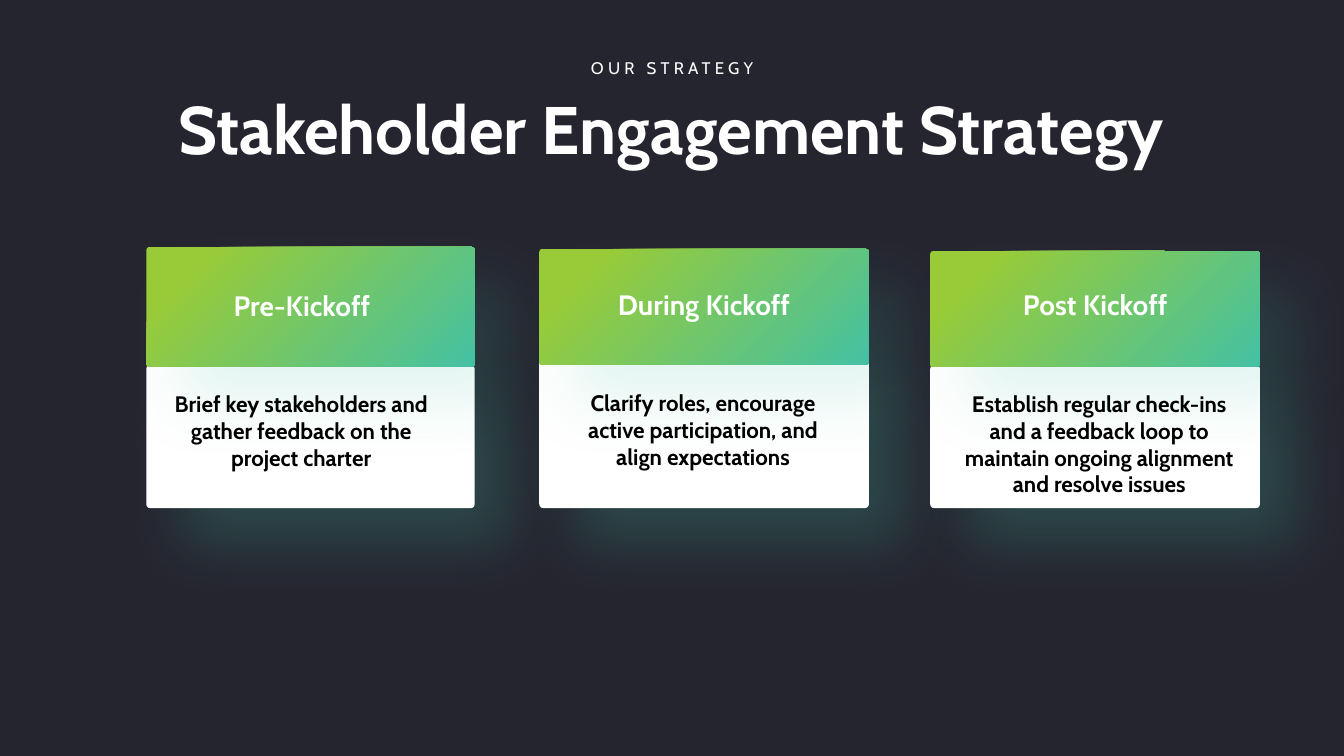
import pptx
import pptx.util
import pptx.dml.color
import pptx.enum.shapes
import pptx.enum.text
import pptx.oxml
import pptx.oxml.ns

Pt = pptx.util.Pt
COLORS = {"night": "252530", "white": "FFFFFF", "black": "000000",
          "teal": "44C1A3", "lime": "99CB38"}
TITLE = "Stakeholder Engagement Strategy"
EYEBROW = "OUR STRATEGY"
CARDS = [
    {"heading": "Pre-Kickoff",
     "detail": "Brief key stakeholders and gather feedback on the project charter",
     "left": 104.5, "width": 234.5, "top": 176.4, "split": 262, "body_top": 260.6,
     "label": (142.6, 189.4, 146.2, 57.6), "text": (105.8, 275, 218.9, 65.5)},
    {"heading": "During Kickoff",
     "detail": "Clarify roles, encourage active participation, and align expectations",
     "left": 385.2, "width": 235.5, "top": 177.8, "split": 260.6, "body_top": 252,
     "label": (428.4, 188.6, 149, 57.6), "text": (398.9, 274.3, 206.6, 65.5)},
    {"heading": "Post Kickoff",
     "detail": "Establish regular check-ins and a feedback loop to maintain "
               "ongoing alignment and resolve issues",
     "left": 664.5, "width": 235.5, "top": 179.3, "split": 262, "body_top": 260.6,
     "label": (707.8, 188.3, 149, 57.6), "text": (679, 275, 212.4, 85)},
]
CARD_BOTTOM = 363
CORNER = 0.027
FORMATS = {
    "title": {"size": Pt(48), "bold": True, "name": "Cabin"},
    "eyebrow": {"size": Pt(12), "bold": False, "name": "Cabin"},
    "heading": {"size": Pt(20), "bold": True, "name": "Cabin"},
    "detail": {"size": Pt(16), "bold": True, "name": "Cabin"},
}


def rgb(name):
    return pptx.dml.color.RGBColor.from_string(COLORS[name])


def write(sp, text, style, color="white", middle=False):
    anchor = pptx.enum.text.MSO_ANCHOR
    tf = sp.text_frame
    frame = {"word_wrap": True, "auto_size": pptx.enum.text.MSO_AUTO_SIZE.NONE,
             "vertical_anchor": anchor.MIDDLE if middle else anchor.TOP}
    for key, value in frame.items():
        setattr(tf, key, value)
    p = tf.paragraphs[0]
    p.alignment = pptx.enum.text.PP_ALIGN.CENTER
    r = p.add_run()
    r.text = text
    for key, value in FORMATS[style].items():
        setattr(r.font, key, value)
    r.font.color.rgb = rgb(color)
    return r


def add_text(shapes, box, *args, **options):
    return write(shapes.add_textbox(*map(Pt, box)), *args, **options)


def add_panel(shapes, left, top, width, bottom, shadow_alpha):
    sp = shapes.add_shape(pptx.enum.shapes.MSO_SHAPE.ROUNDED_RECTANGLE,
                          Pt(left), Pt(top), Pt(width), Pt(bottom - top))
    sp.adjustments[0] = CORNER
    sp.fill.solid()
    sp.fill.fore_color.rgb = rgb("white")
    sp.line.fill.background()
    sp.shadow.inherit = False
    effects = sp._element.spPr.find(pptx.oxml.ns.qn("a:effectLst"))
    effects.append(pptx.oxml.parse_xml(
        f'<a:outerShdw {pptx.oxml.ns.nsdecls("a")} blurRad="{Pt(44)}" '
        f'dist="{Pt(36)}" dir="{45 * 60000}" algn="ctr" rotWithShape="0">'
        f'<a:srgbClr val="{COLORS["teal"]}">'
        f'<a:alpha val="{shadow_alpha * 1000}"/></a:srgbClr></a:outerShdw>'))
    return sp


def set_gradient(sp):
    spPr = sp._element.spPr
    solid = spPr.find(pptx.oxml.ns.qn("a:solidFill"))
    spPr.replace(solid, pptx.oxml.parse_xml(
        f'<a:gradFill {pptx.oxml.ns.nsdecls("a")} rotWithShape="1"><a:gsLst>'
        f'<a:gs pos="0"><a:srgbClr val="{COLORS["teal"]}"/></a:gs>'
        f'<a:gs pos="85000"><a:srgbClr val="{COLORS["lime"]}"/></a:gs></a:gsLst>'
        '<a:path path="circle"><a:fillToRect l="100000" t="100000"/></a:path>'
        '</a:gradFill>'))


def add_card(slide, card):
    shapes = slide.shapes.add_group_shape().shapes
    left, width = card["left"], card["width"]
    add_panel(shapes, left, card["body_top"], width, CARD_BOTTOM, 22)
    set_gradient(add_panel(shapes, left, card["top"], width, card["split"], 15))
    add_text(shapes, card["label"], card["heading"], "heading", middle=True)
    add_text(shapes, card["text"], card["detail"], "detail", "black")


def main():
    prs = pptx.Presentation()
    prs.slide_width, prs.slide_height = Pt(960), Pt(540)
    slide = prs.slides.add_slide(prs.slide_layouts[5])
    slide.background.fill.solid()
    slide.background.fill.fore_color.rgb = rgb("night")

    title = slide.shapes.title
    box = {"left": Pt(120), "top": Pt(59), "width": Pt(719), "height": Pt(65.5)}
    for key, value in box.items():
        setattr(title, key, value)
    write(title, TITLE, "title")
    r = add_text(slide.shapes, (301.7, 37.4, 357, 21.6), EYEBROW, "eyebrow")
    r.font._element.set("spc", "300")

    for card in CARDS:
        add_card(slide, card)
    prs.save("out.pptx")


if __name__ == "__main__":
    main()
